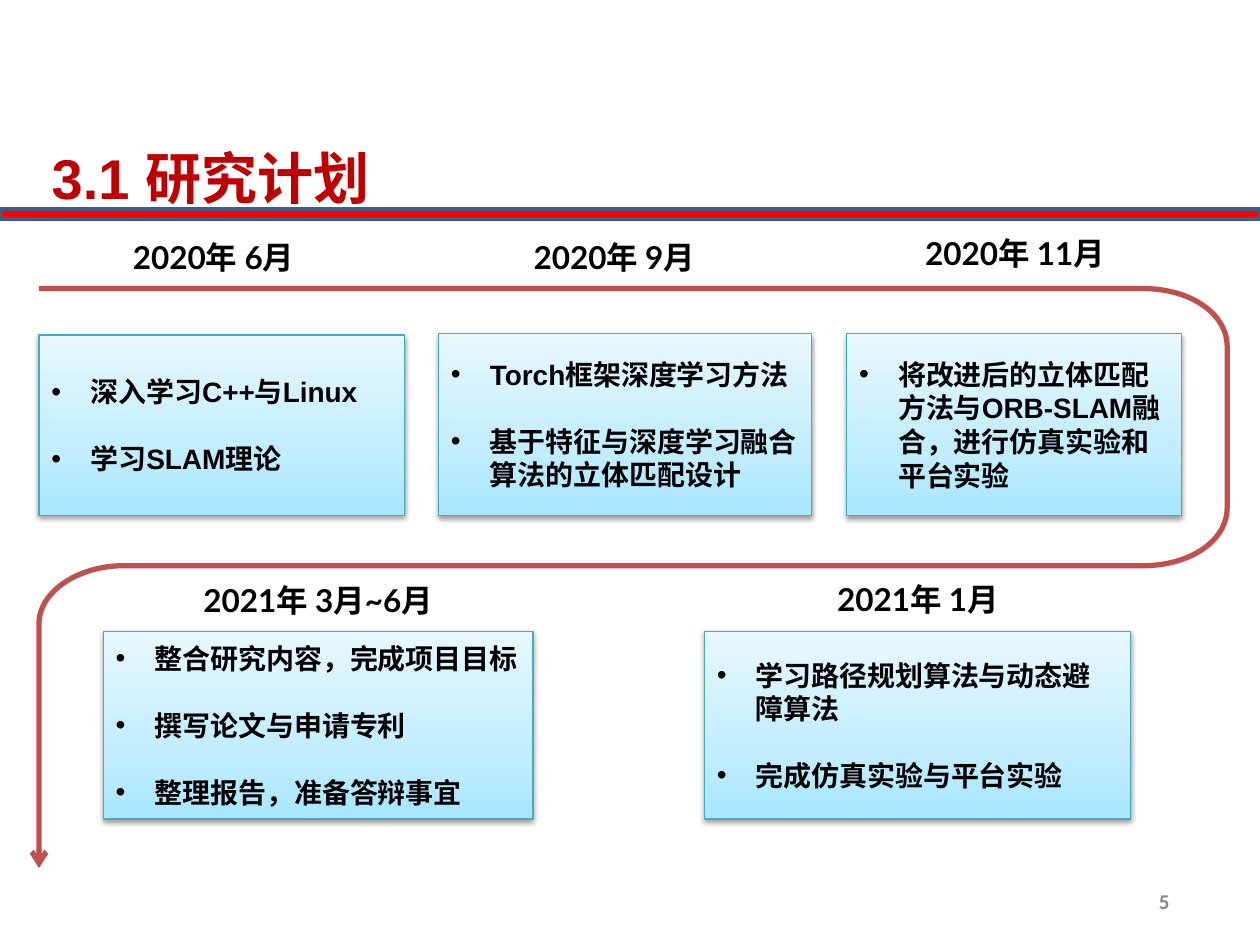
from dataclasses import dataclass

from lxml import etree
from pptx import Presentation
from pptx.dml.color import RGBColor
from pptx.enum.shapes import MSO_SHAPE
from pptx.enum.text import MSO_ANCHOR, PP_ALIGN
from pptx.oxml import parse_xml
from pptx.oxml.ns import nsdecls, qn
from pptx.util import Inches, Pt

RECT = MSO_SHAPE.RECTANGLE
TOP, MIDDLE = MSO_ANCHOR.TOP, MSO_ANCHOR.MIDDLE
LEFT, CENTER, RIGHT = PP_ALIGN.LEFT, PP_ALIGN.CENTER, PP_ALIGN.RIGHT
TITLE_ONLY = 5
CARD_STOPS = [(0, "A7E6FF"), (35, "C1EDFF"), (100, "E7F8FF")]


@dataclass
class Box:
    left: float
    top: float
    width: float
    height: float

    def emu(self) -> list:
        return [Inches(v) for v in (self.left, self.top, self.width, self.height)]


@dataclass
class Stage:
    date: str
    date_box: Box
    tasks: list[str]
    card_box: Box


STAGES = [
    Stage("2020年 6月", Box(0.24, 1.78, 2.91, 0.51),
          ["深入学习C++与Linux", "学习SLAM理论"], Box(0.31, 2.66, 2.9, 1.43)),
    Stage("2020年 9月", Box(3.42, 1.78, 2.91, 0.51),
          ["Torch框架深度学习方法", "基于特征与深度学习融合算法的立体匹配设计"],
          Box(3.48, 2.65, 2.96, 1.44)),
    Stage("2020年 11月", Box(6.6, 1.75, 2.91, 0.51),
          ["将改进后的立体匹配方法与ORB-SLAM融合，进行仿真实验和平台实验"],
          Box(6.72, 2.65, 2.66, 1.44)),
    Stage("2021年 1月", Box(5.83, 4.5, 2.91, 0.51),
          ["学习路径规划算法与动态避障算法", "完成仿真实验与平台实验"],
          Box(5.59, 5.01, 3.38, 1.49)),
    Stage("2021年 3月~6月", Box(0.91, 4.5, 3.23, 0.52),
          ["整合研究内容，完成项目目标", "撰写论文与申请专利", "整理报告，准备答辩事宜"],
          Box(0.82, 5.01, 3.41, 1.49)),
]

ROUTE_START = (0.31, 2.29)
ROUTE = [
    [(9.07, 2.29)],
    [(9.45, 2.29), (9.74, 2.49), (9.74, 2.75)],
    [(9.74, 4.03)],
    [(9.74, 4.29), (9.45, 4.49), (9.07, 4.49)],
    [(0.98, 4.49)],
    [(0.63, 4.49), (0.31, 4.69), (0.31, 4.95)],
    [(0.31, 6.89)],
]


def rgb(value: str) -> RGBColor:
    return RGBColor.from_string(value)


def style_paragraph(p, size: float, font: str, color: str, align=LEFT) -> None:
    p.alignment = align
    for r in p.runs:
        r.font.size = Pt(size)
        r.font.name = font
        r.font.bold = True
        r.font.color.rgb = rgb(color)


def set_line(sp, color: str, width: float) -> None:
    sp.line.color.rgb = rgb(color)
    sp.line.width = Pt(width)


def add_label(slide, box: Box, text: str, size: float, font: str, color: str, align) -> None:
    tf = slide.shapes.add_textbox(*box.emu()).text_frame
    tf.word_wrap = True
    tf.vertical_anchor = MIDDLE
    tf.text = text
    style_paragraph(tf.paragraphs[0], size, font, color, align)


def add_title(slide, box: Box, text: str) -> None:
    sp = slide.shapes.title
    sp.left, sp.top, sp.width, sp.height = box.emu()
    tf = sp.text_frame
    tf.vertical_anchor = TOP
    tf.text = text
    p = tf.paragraphs[0]
    p.line_spacing = 1.5
    style_paragraph(p, 32, "Arial", "C00000")


def add_rule(slide, box: Box) -> None:
    sp = slide.shapes.add_shape(RECT, *box.emu())
    sp.shadow.inherit = False
    sp.fill.solid()
    sp.fill.fore_color.rgb = rgb("FF0000")
    set_line(sp, "3A5F8C", 2)


def add_route(slide) -> None:
    points = [(Inches(x), Inches(y)) for leg in ROUTE for x, y in leg]
    builder = slide.shapes.build_freeform(*(Inches(v) for v in ROUTE_START))
    builder.add_line_segments(points, close=False)
    sp = builder.convert_to_shape()
    segments = iter(list(sp._element.iter(qn("a:lnTo"))))
    for leg in ROUTE:
        parts = [next(segments) for _ in leg]
        if len(leg) == 3:
            curve = etree.Element(qn("a:cubicBezTo"))
            parts[0].addprevious(curve)
            for part in parts:
                curve.append(part[0])
                part.getparent().remove(part)
    sp.shadow.inherit = False
    sp.fill.background()
    set_line(sp, "C0504D", 3)
    etree.SubElement(sp.line._get_or_add_ln(), qn("a:tailEnd"), type="arrow")


def add_bullet(p) -> None:
    pPr = p._p.get_or_add_pPr()
    pPr.set("marL", str(Inches(0.31)))
    pPr.set("indent", str(-Inches(0.31)))
    etree.SubElement(pPr, qn("a:buFont"), typeface="Arial")
    etree.SubElement(pPr, qn("a:buChar"), char="•")


def add_card(slide, box: Box, tasks: list[str]) -> None:
    sp = slide.shapes.add_shape(RECT, *box.emu())
    stops = "".join(f'<a:gs pos="{pos * 1000}"><a:srgbClr val="{color}"/></a:gs>'
                    for pos, color in CARD_STOPS)
    sp._element.spPr.append(parse_xml(
        f'<a:gradFill {nsdecls("a")} rotWithShape="1"><a:gsLst>{stops}</a:gsLst>'
        '<a:lin ang="16200000" scaled="0"/></a:gradFill>'))
    set_line(sp, "46AAC5", 0.75)
    sp.shadow.inherit = False
    sp._element.spPr.find(qn("a:effectLst")).append(parse_xml(
        f'<a:outerShdw {nsdecls("a")} blurRad="{Pt(3.1)}" dist="{Pt(1.6)}" dir="5400000" '
        'rotWithShape="0"><a:srgbClr val="000000"><a:alpha val="38000"/></a:srgbClr>'
        '</a:outerShdw>'))
    tf = sp.text_frame
    tf.word_wrap = True
    tf.vertical_anchor = MIDDLE
    tf.text = "\n".join(tasks)
    for i, p in enumerate(tf.paragraphs):
        style_paragraph(p, 16, "Arial", "000000")
        if i:
            p.space_before = Pt(19)
        add_bullet(p)


def main() -> None:
    prs = Presentation()
    prs.slide_width, prs.slide_height = Inches(10), Inches(7.5)
    slide = prs.slides.add_slide(prs.slide_layouts[TITLE_ONLY])
    add_rule(slide, Box(0, 1.66, 10, 0.08))
    add_title(slide, Box(0.31, 0.82, 7.15, 0.91), "3.1 研究计划")
    add_label(slide, Box(7.05, 6.95, 2.33, 0.4), "5", 12, "Calibri", "898989", RIGHT)
    add_route(slide)
    for stage in STAGES:
        add_label(slide, stage.date_box, stage.date, 18, "Lato", "000000", CENTER)
        add_card(slide, stage.card_box, stage.tasks)
    prs.save("out.pptx")


if __name__ == "__main__":
    main()
